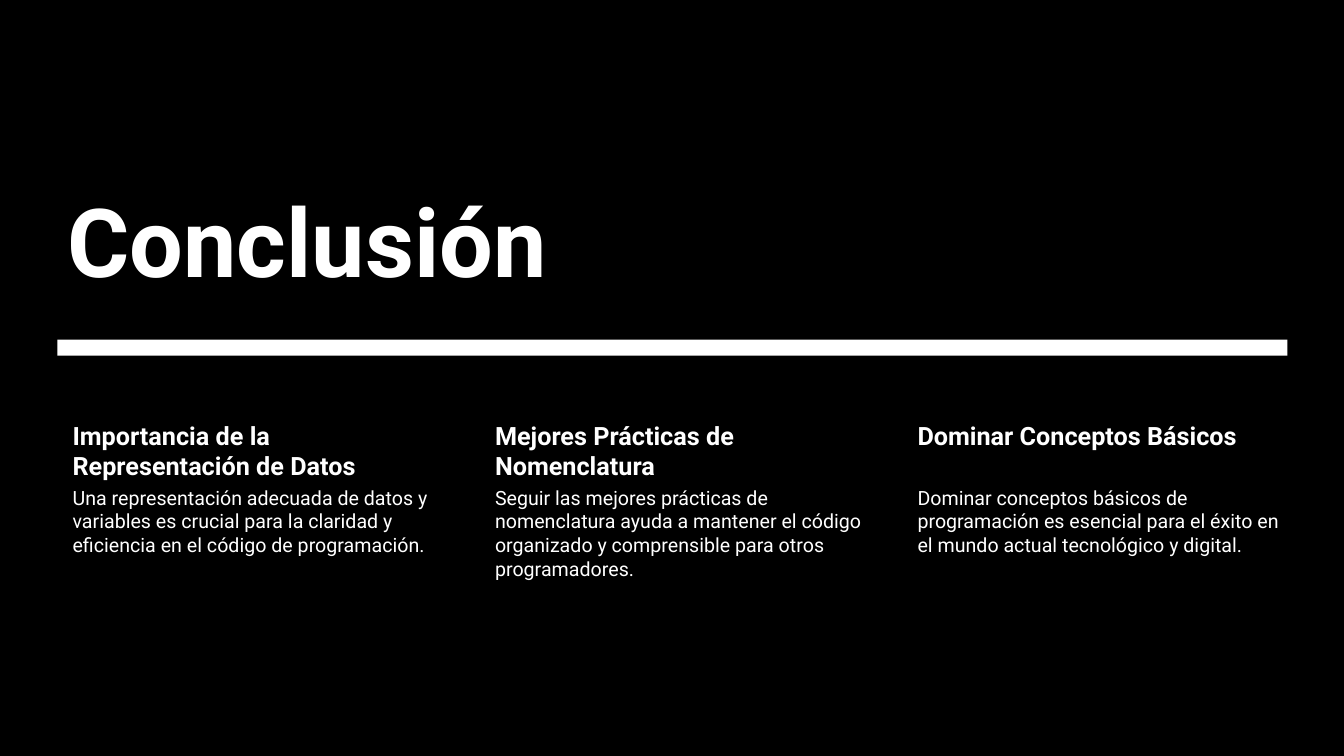
"""Build the closing slide with a title, a rule and three columns."""
from pptx import Presentation
from pptx.dml.color import RGBColor
from pptx.enum.shapes import MSO_SHAPE
from pptx.enum.text import MSO_ANCHOR, MSO_AUTO_SIZE, PP_ALIGN
from pptx.util import Inches, Pt

BLACK = RGBColor(0, 0, 0)
WHITE = RGBColor(255, 255, 255)
BAR = MSO_SHAPE.RECTANGLE
TOP, BASE = MSO_ANCHOR.TOP, MSO_ANCHOR.BOTTOM
FIXED = MSO_AUTO_SIZE.NONE
LEFT = PP_ALIGN.LEFT

EDGE, WIDE = 0.57, 12.2
COL, STEP = 3.81, 4.19

COLUMNS = [
    ("Importancia de la Representación de Datos",
     "Una representación adecuada de datos y variables es crucial para "
     "la claridad y eficiencia en el código de programación."),
    ("Mejores Prácticas de Nomenclatura",
     "Seguir las mejores prácticas de nomenclatura ayuda a mantener el "
     "código organizado y comprensible para otros programadores."),
    ("Dominar Conceptos Básicos",
     "Dominar conceptos básicos de programación es esencial para el "
     "éxito en el mundo actual tecnológico y digital."),
]


def write(frame, text, size, bold, anchor):
    frame.word_wrap = True
    frame.auto_size = FIXED
    frame.vertical_anchor = anchor
    frame.text = text
    para = frame.paragraphs[0]
    para.alignment = LEFT
    para.line_spacing = 1.0
    font = para.runs[0].font
    font.name = "Roboto"
    font.size = Pt(size)
    font.bold = bold
    font.color.rgb = WHITE


deck = Presentation()
deck.slide_width = Inches(13.33)
deck.slide_height = Inches(7.5)
slide = deck.slides.add_slide(deck.slide_layouts[5])
slide.background.fill.solid()
slide.background.fill.fore_color.rgb = BLACK

title = slide.shapes.title
title.left, title.top = Inches(EDGE), Inches(1.45)
title.width, title.height = Inches(WIDE), Inches(1.54)
write(title.text_frame, "Conclusión", 68, True, BASE)

panels = [(0, 0, 13.33, 7.5, BLACK), (EDGE, 3.37, WIDE, 0.16, WHITE)]
for left, top, width, high, color in panels:
    panel = slide.shapes.add_shape(
        BAR, Inches(left), Inches(top), Inches(width), Inches(high))
    panel.shadow.inherit = False
    panel.fill.solid()
    panel.fill.fore_color.rgb = color
    panel.line.fill.background()

tree = slide.shapes.element
tree.remove(title.element)
tree.append(title.element)

for col, (head, body) in enumerate(COLUMNS):
    rows = [(head, 4.14, 0.66, 18, True, 0.03),
            (body, 4.8, 2.04, 14, False, 0.02)]
    for text, top, high, size, bold, pad in rows:
        box = slide.shapes.add_textbox(
            Inches(EDGE + col * STEP), Inches(top), Inches(COL), Inches(high))
        frame = box.text_frame
        frame.margin_left = Inches(0.15)
        frame.margin_top = frame.margin_right = frame.margin_bottom = Inches(pad)
        write(frame, text, size, bold, TOP)

deck.save("out.pptx")
